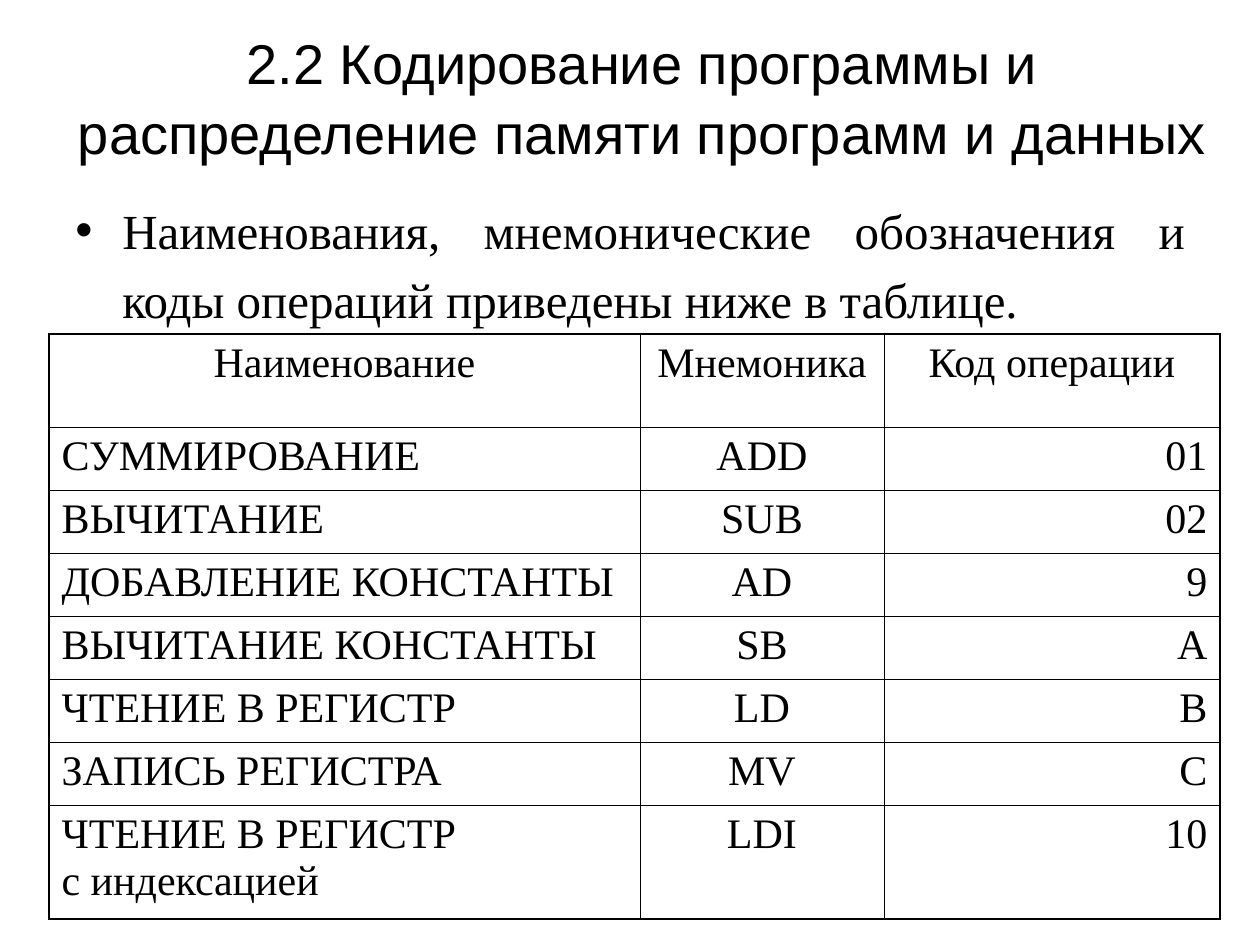
from pptx import Presentation
from pptx.dml.color import RGBColor
from pptx.enum.text import MSO_ANCHOR, PP_ALIGN
from pptx.oxml.ns import qn
from pptx.util import Emu, Pt
from lxml import etree

LEFT, CENTER, RIGHT, JUSTIFY = (
    PP_ALIGN.LEFT, PP_ALIGN.CENTER, PP_ALIGN.RIGHT, PP_ALIGN.JUSTIFY)
TOP, MIDDLE = MSO_ANCHOR.TOP, MSO_ANCHOR.MIDDLE

COLORS = {"text": "000000", "border": "000000"}
SANS, SERIF = "Arial", "Times New Roman"
THIN, THICK = 0.45, 1.08

HEADERS = ["Наименование", "Мнемоника", "Код операции"]
OPERATIONS = [
    ["СУММИРОВАНИЕ", "ADD", "01"],
    ["ВЫЧИТАНИЕ", "SUB", "02"],
    ["ДОБАВЛЕНИЕ КОНСТАНТЫ", "AD", "9"],
    ["ВЫЧИТАНИЕ КОНСТАНТЫ", "SB", "A"],
    ["ЧТЕНИЕ В РЕГИСТР", "LD", "B"],
    ["ЗАПИСЬ РЕГИСТРА", "MV", "C"],
    ["ЧТЕНИЕ В РЕГИСТР\nс индексацией", "LDI", "10"],
]


def px(n):
    return Emu(round(n * 914400 / 126))


class SlideBuilder:
    def __init__(self, slide):
        self.slide = slide

    def add_runs(self, p, text, font, size, align):
        """Fill a paragraph, turning newlines into line breaks."""
        p.alignment = align
        for i, line in enumerate(text.split("\n")):
            if i:
                p.add_line_break()
            r = p.add_run()
            r.text = line
            r.font.name = font
            r.font.size = Pt(size)
            r.font.color.rgb = RGBColor.from_string(COLORS["text"])

    def text(self, box, text, font, size, align, anchor=TOP, spacing=1.0, inset=6):
        sp = self.slide.shapes.add_textbox(*map(px, box))
        tf = sp.text_frame
        tf.word_wrap = True
        tf.vertical_anchor = anchor
        tf.margin_top = px(inset)
        p = tf.paragraphs[0]
        p.line_spacing = spacing
        self.add_runs(p, text, font, size, align)
        return p

    def bullet(self, p, indent):
        pPr = p._p.get_or_add_pPr()
        pPr.set("marL", str(px(indent)))
        pPr.set("indent", str(-px(indent)))
        color = etree.SubElement(pPr, qn("a:buClr"))
        etree.SubElement(color, qn("a:srgbClr"), val=COLORS["text"])
        etree.SubElement(pPr, qn("a:buFont"), typeface=SANS)
        etree.SubElement(pPr, qn("a:buChar"), char="•")

    def borders(self, cell, widths):
        """Draw cell borders; widths are points for left, right, top, bottom."""
        tcPr = cell._tc.get_or_add_tcPr()
        for side, width in zip("LRTB", widths):
            ln = etree.SubElement(tcPr, qn(f"a:ln{side}"), w=str(Pt(width)))
            fill = etree.SubElement(ln, qn("a:solidFill"))
            etree.SubElement(fill, qn("a:srgbClr"), val=COLORS["border"])

    def table(self, left, top, col_widths, row_heights, rows, size):
        box = (left, top, sum(col_widths), sum(row_heights))
        table = self.slide.shapes.add_table(
            len(rows), len(col_widths), *map(px, box)).table
        table.first_row = table.horz_banding = False
        for col, width in zip(table.columns, col_widths):
            col.width = px(width)
        for row, height in zip(table.rows, row_heights):
            row.height = px(height)
        last_row, last_col = len(rows) - 1, len(col_widths) - 1
        for i, values in enumerate(rows):
            aligns = (LEFT, CENTER, RIGHT) if i else (CENTER,) * 3
            for j, (value, align) in enumerate(zip(values, aligns)):
                cell = table.cell(i, j)
                outer = (j == 0, j == last_col, i == 0, i == last_row)
                self.borders(cell, [THICK if edge else THIN for edge in outer])
                cell.fill.background()
                self.add_runs(cell.text_frame.paragraphs[0], value, SERIF, size, align)


def main():
    prs = Presentation()
    prs.slide_width, prs.slide_height = px(1260), px(945)
    s = SlideBuilder(prs.slides.add_slide(prs.slide_layouts[6]))

    s.text((54, 1, 1177, 189),
           "2.2 Кодирование программы и распределение памяти программ и данных",
           SANS, 32, CENTER, anchor=MIDDLE, spacing=1.04)
    intro = s.text((63, 189, 1134, 149),
                   "Наименования, мнемонические обозначения и коды операций "
                   "приведены ниже в таблице.",
                   SERIF, 28, JUSTIFY, spacing=1.18, inset=1)
    s.bullet(intro, 47)
    s.table(49, 334, [591, 244, 336], [93] + [63] * 6 + [114],
            [HEADERS] + OPERATIONS, 24)

    prs.save("out.pptx")


if __name__ == "__main__":
    main()
